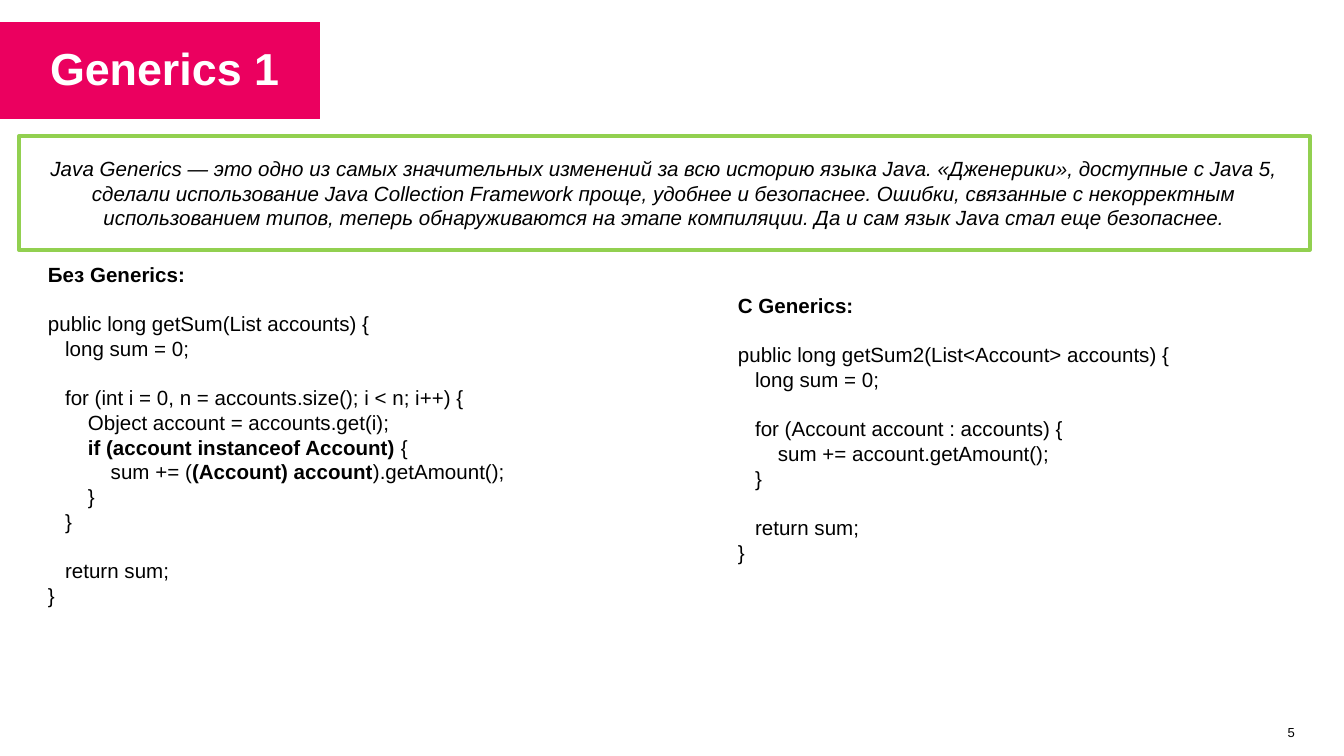
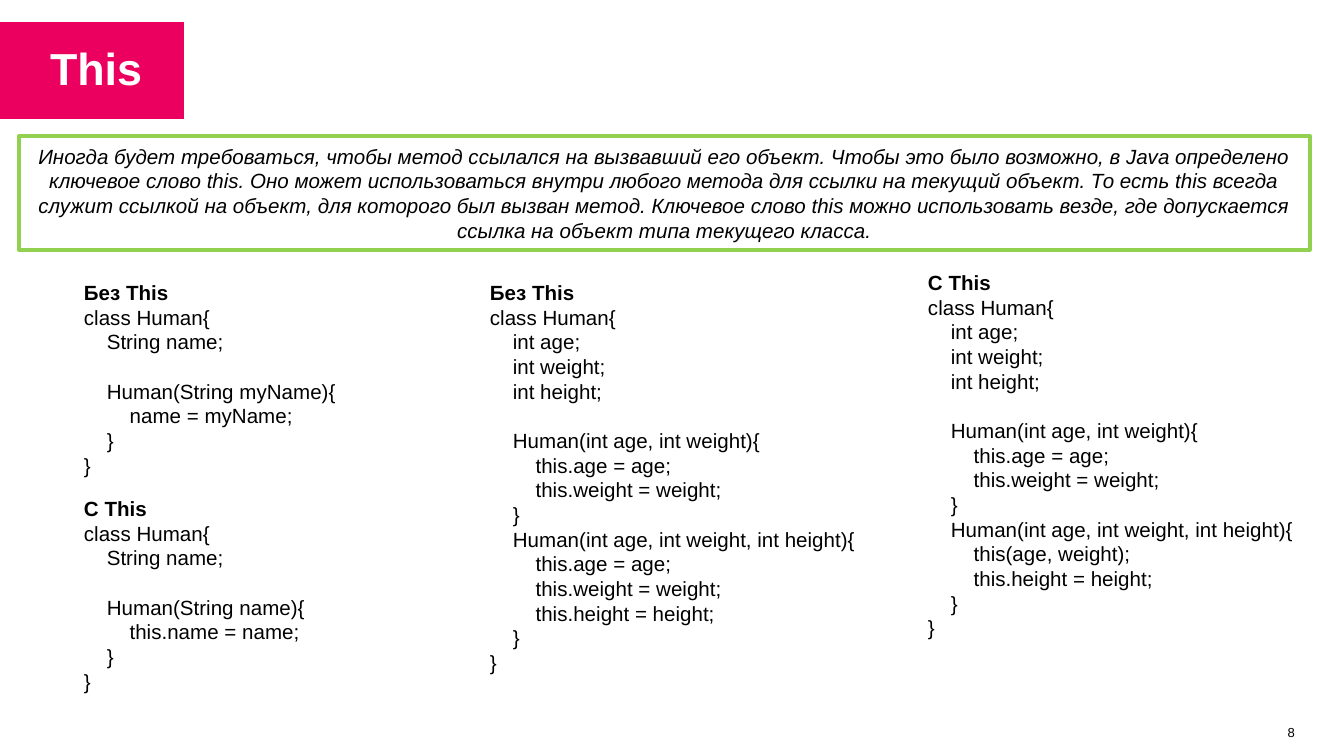
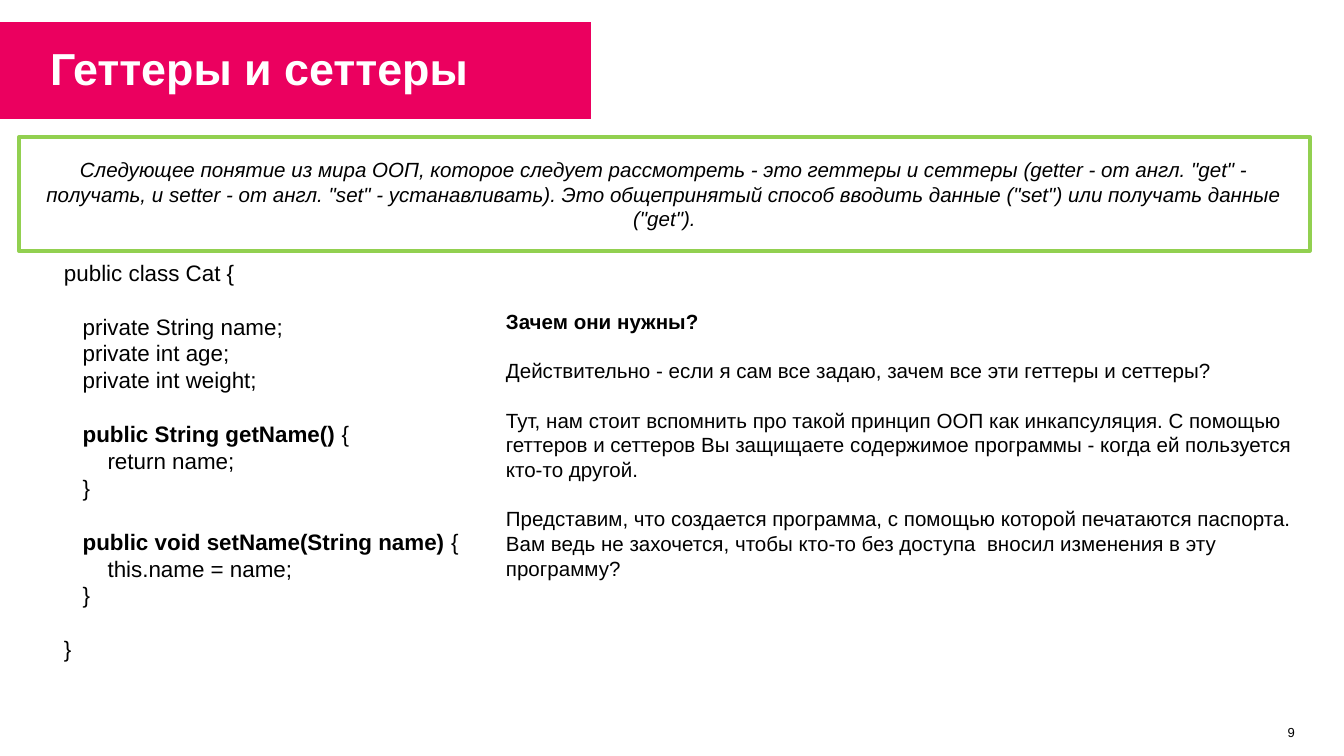
from pptx import Presentation
from pptx.dml.color import RGBColor
from pptx.enum.shapes import MSO_SHAPE
from pptx.enum.text import MSO_ANCHOR, MSO_AUTO_SIZE, PP_ALIGN
from pptx.util import Emu, Pt

RECTANGLE = MSO_SHAPE.RECTANGLE
TOP, MIDDLE = MSO_ANCHOR.TOP, MSO_ANCHOR.MIDDLE
LEFT, CENTER, RIGHT = PP_ALIGN.LEFT, PP_ALIGN.CENTER, PP_ALIGN.RIGHT
NO_AUTOFIT = MSO_AUTO_SIZE.NONE

EMU_PER_PX = 914400 / 134.4
FONT = "Arial"
SPACE_WIDTH = 0.278  # share of the font size
LINE_HEIGHT = 1.2
COLORS = {"band": "EB005F", "frame": "92D050", "paper": "FFFFFF", "ink": "000000"}

FORMATS = {
    "title": dict(size=24, color="paper", bold=True, align=LEFT, anchor=MIDDLE, insets=(7, 7, 7, 7)),
    "summary": dict(size=11, italic=True, align=CENTER, anchor=MIDDLE, insets=(9, 5, 9, 5)),
    "body": dict(size=11, align=LEFT, anchor=TOP, insets=(5, 4, 5, 5)),
    "large body": dict(size=12, align=LEFT, anchor=TOP, insets=(5, 4, 5, 5)),
    "number": dict(size=7, align=RIGHT, anchor=MIDDLE, insets=(7, 7, 7, 7)),
}


def px(*lengths):
    return [Emu(round(length * EMU_PER_PX)) for length in lengths]


def write(shape, text, format_name):
    """Fill a shape: ** toggles bold, leading spaces indent, an empty line adds a gap."""
    style = FORMATS[format_name]
    size = style["size"]
    frame = shape.text_frame
    frame.word_wrap = True
    frame.auto_size = NO_AUTOFIT
    frame.vertical_anchor = style["anchor"]
    for side, inset in zip(("left", "top", "right", "bottom"), px(*style["insets"])):
        setattr(frame, f"margin_{side}", inset)
    paragraph, gap = None, 0
    for line in text.strip().split("\n"):
        content = line.lstrip()
        if not content:
            gap += LINE_HEIGHT * size
            continue
        paragraph = frame.add_paragraph() if paragraph else frame.paragraphs[0]
        paragraph.alignment = style["align"]
        paragraph.space_before = Pt(gap)
        gap = 0
        indent = (len(line) - len(content)) * SPACE_WIDTH * size
        if indent:
            properties = paragraph._p.get_or_add_pPr()
            properties.set("marL", str(Pt(indent)))
            properties.set("indent", "0")
        for index, part in enumerate(content.split("**")):
            if not part:
                continue
            run = paragraph.add_run()
            run.text = part
            values = dict(name=FONT, size=Pt(size), italic=style.get("italic", False),
                          bold=style.get("bold", index % 2 == 1))
            for name, value in values.items():
                setattr(run.font, name, value)
            run.font.color.rgb = RGBColor.from_string(COLORS[style.get("color", "ink")])


sum_without_generics = """
**Без Generics:**

public long getSum(List accounts) {
   long sum = 0;

   for (int i = 0, n = accounts.size(); i < n; i++) {
       Object account = accounts.get(i);
       **if (account instanceof Account) **{
           sum += (**(Account) account**).getAmount();
       }
   }

   return sum;
}
"""

sum_with_generics = """
**С Generics:**

public long getSum2(List<Account> accounts) {
   long sum = 0;

   for (Account account : accounts) {
       sum += account.getAmount();
   }

   return sum;
}
"""

named_humans = [
    f"""
**{heading}**
class Human{{
    String name;

    Human(String {parameter}){{
        {assignment};
    }}
}}
"""
    for heading, parameter, assignment in (
        ("Без This", "myName", "name = myName"),
        ("С This", "name", "this.name = name"),
    )
]

set_age_and_weight = """this.age = age;
        this.weight = weight;"""
measured_humans = [
    f"""
**{heading}**
class Human{{
    int age;
    int weight;
    int height;

    Human(int age, int weight){{
        {set_age_and_weight}
    }}
    Human(int age, int weight, int height){{
        {first_step}
        this.height = height;
    }}
}}
"""
    for heading, first_step in (
        ("Без This", set_age_and_weight),
        ("С This", "this(age, weight);"),
    )
]

cat_class = """
public class Cat {

   private String name;
   private int age;
   private int weight;

   **public String getName() **{
       return name;
   }

   **public void setName(String name) **{
       this.name = name;
   }

}
"""

why_accessors = """
**Зачем они нужны?**

Действительно - если я сам все задаю, зачем все эти геттеры и сеттеры?

Тут, нам стоит вспомнить про такой принцип ООП как инкапсуляция. С помощью геттеров и сеттеров Вы защищаете содержимое программы - когда ей пользуется кто-то другой.

Представим, что создается программа, с помощью которой печатаются паспорта. Вам ведь не захочется, чтобы кто-то без доступа  вносил изменения в эту программу?
"""

# Each text column: left, top, width, height, text, format
slides = [
    dict(
        title="Generics 1", number="5", band_width=320, title_width=277, summary_top=136,
        summary="Java Generics — это одно из самых значительных изменений за всю историю языка Java. "
                "«Дженерики», доступные с Java 5, сделали использование Java Collection Framework проще, "
                "удобнее и безопаснее. Ошибки, связанные с некорректным использованием типов, теперь "
                "обнаруживаются на этапе компиляции. Да и сам язык Java стал еще безопаснее.",
        columns=[
            (43, 258, 469, 362, sum_without_generics, "body"),
            (733, 289, 469, 301, sum_with_generics, "body"),
        ],
    ),
    dict(
        title="This", number="8", band_width=184, title_width=126, summary_top=136,
        summary="Иногда будет требоваться, чтобы метод ссылался на вызвавший его объект. Чтобы это было "
                "возможно, в Java определено ключевое слово this. Оно может использоваться внутри любого "
                "метода для ссылки на текущий объект. То есть this всегда служит ссылкой на объект, для "
                "которого был вызван метод. Ключевое слово this можно использовать везде, где допускается "
                "ссылка на объект типа текущего класса.",
        columns=[
            (79, 276, 406, 204, named_humans[0], "body"),
            (79, 492, 406, 204, named_humans[1], "body"),
            (485, 276, 406, 414, measured_humans[0], "body"),
            (923, 266, 406, 414, measured_humans[1], "body"),
        ],
    ),
    dict(
        title="Геттеры и сеттеры", number="9", band_width=591, title_width=810, summary_top=137,
        summary="Следующее понятие из мира ООП, которое следует рассмотреть - это геттеры и сеттеры "
                "(getter - от англ. \"get\" - получать, и setter - от англ. \"set\" - устанавливать). Это "
                "общепринятый способ вводить данные (\"set\") или получать данные (\"get\").",
        columns=[
            (59, 255, 473, 421, cat_class, "large body"),
            (501, 305, 808, 321, why_accessors, "body"),
        ],
    ),
]

presentation = Presentation()
presentation.slide_width, presentation.slide_height = px(1344, 756)
title_only = presentation.slide_layouts[5]

for content in slides:
    slide = presentation.slides.add_slide(title_only)
    shapes = slide.shapes

    title = shapes.title
    title.left, title.top, title.width, title.height = px(43, 0, content["title_width"], 136)
    write(title, content["title"], "title")

    band = shapes.add_shape(RECTANGLE, *px(0, 22, content["band_width"], 97))
    band.shadow.inherit = False
    band.fill.solid()
    band.fill.fore_color.rgb = RGBColor.from_string(COLORS["band"])
    band.line.fill.background()
    title.element.addprevious(band.element)

    summary = shapes.add_shape(RECTANGLE, *px(19, content["summary_top"], 1291, 114))
    summary.shadow.inherit = False
    summary.fill.solid()
    summary.fill.fore_color.rgb = RGBColor.from_string(COLORS["paper"])
    summary.line.color.rgb = RGBColor.from_string(COLORS["frame"])
    summary.line.width = Pt(2)
    write(summary, content["summary"], "summary")

    for *box, text, format_name in content["columns"]:
        write(shapes.add_textbox(*px(*box)), text, format_name)

    write(shapes.add_textbox(*px(1273, 719, 29, 26)), content["number"], "number")

presentation.save("out.pptx")
